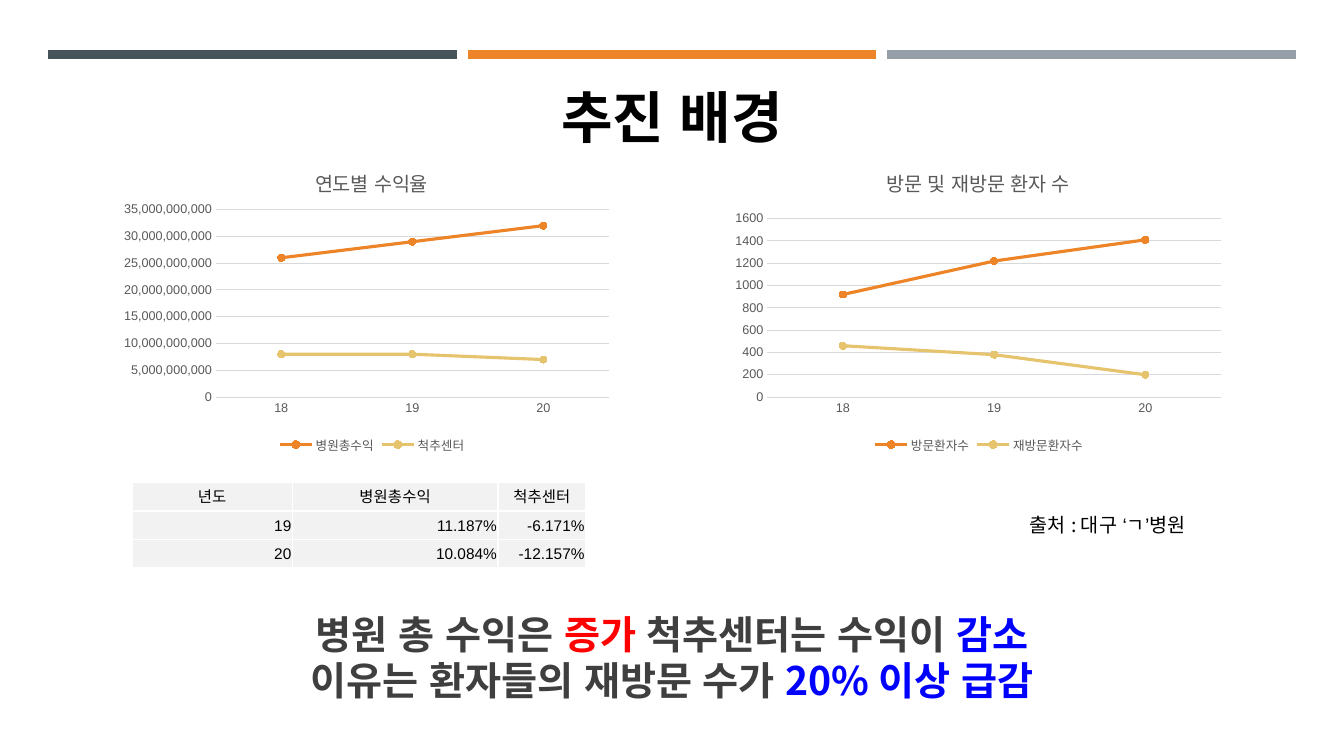
import pptx
import pptx.chart.data
import pptx.dml.color
import pptx.enum.chart
import pptx.enum.shapes
import pptx.enum.text
import pptx.oxml
import pptx.oxml.ns
import pptx.util
from dataclasses import dataclass
from lxml import etree

Inches = pptx.util.Inches
Pt = pptx.util.Pt
qn = pptx.oxml.ns.qn
ALIGN = pptx.enum.text.PP_ALIGN
ANCHOR = pptx.enum.text.MSO_ANCHOR


@dataclass(frozen=True)
class Theme:
    latin: str = "Arial"
    korean: str = "Noto Sans CJK KR"
    black: str = "000000"
    white: str = "FFFFFF"
    slate: str = "465359"
    orange: str = "ED8428"
    grey: str = "969FA7"
    gold: str = "E6C46D"
    body: str = "3F3F3F"
    rise: str = "FF0000"
    fall: str = "0000FF"
    label: str = "595959"
    grid: str = "D9D9D9"
    cell: str = "F2F2F2"
    heading: int = 40
    message: int = 28
    note: int = 14
    table: int = 11
    axis: int = 9


def rgb(value):
    return pptx.dml.color.RGBColor.from_string(value)


def set_layout(parent, index, **values):
    """Place a chart part by fractions of the chart; a width marks the inner plot."""
    for old in parent.findall(qn("c:layout")):
        parent.remove(old)
    layout = etree.Element(qn("c:layout"))
    manual = etree.SubElement(layout, qn("c:manualLayout"))
    settings = {"layoutTarget": "inner"} if "w" in values else {}
    settings.update(xMode="edge", yMode="edge", **values)
    for name, value in settings.items():
        etree.SubElement(manual, qn(f"c:{name}"), val=str(value))
    parent.insert(index, layout)


class SlideBuilder:
    def __init__(self, slide, theme):
        self.shapes = slide.shapes
        self.theme = theme

    def font(self, font, size, color, name=None, bold=False):
        font.size = Pt(size)
        font.name = name or self.theme.latin
        font.bold = bold
        font.color.rgb = rgb(color)

    def run(self, p, text, size, color, name=None, bold=False):
        """Add a run whose spaces and quotes among Hangul take the Latin font's widths."""
        r = p.add_run()
        r.text = text
        self.font(r.font, size, color, name, bold)
        latin = r.font._element.find(qn("a:latin"))
        latin.addnext(etree.Element(qn("a:ea"), typeface=self.theme.latin))

    def bar(self, x, color):
        line = self.shapes.add_connector(
            pptx.enum.shapes.MSO_CONNECTOR.STRAIGHT,
            Inches(x), Inches(0.54), Inches(x + 4.05), Inches(0.54))
        line.line.color.rgb = rgb(color)
        line.line.width = Pt(6.5)
        etree.SubElement(line._element.spPr, qn("a:effectLst"))

    def text(self, box, lines, size, name=None, bold=False, align=ALIGN.CENTER,
             anchor=ANCHOR.TOP, inset=0.05, spacing=None):
        """Lines are lists of (text, colour) runs, joined by line breaks."""
        tf = self.shapes.add_textbox(*map(Inches, box)).text_frame
        tf.word_wrap = True
        tf.vertical_anchor = anchor
        tf.margin_left = tf.margin_right = Inches(0.1)
        tf.margin_top = tf.margin_bottom = Inches(inset)
        p = tf.paragraphs[0]
        p.alignment = align
        p.line_spacing = spacing
        for i, line in enumerate(lines):
            if i:
                p.add_line_break()
            for text, color in line:
                self.run(p, text, size, color, name, bold)

    def line_chart(self, x, title, title_x, series, top, step, number_format, plot):
        t = self.theme
        data = pptx.chart.data.CategoryChartData(number_format=number_format)
        data.categories = ["18", "19", "20"]
        for name, values in series.items():
            data.add_series(name, values)
        chart = self.shapes.add_chart(
            pptx.enum.chart.XL_CHART_TYPE.LINE_MARKERS,
            Inches(x), Inches(1.54), Inches(5), Inches(3), data).chart
        self.font(chart.font, t.axis, t.label)
        chart.plots[0].vary_by_categories = False

        chart.has_title = True
        self.run(chart.chart_title.text_frame.paragraphs[0], title, t.note, t.label)
        chart.chart_title.include_in_layout = False
        set_layout(chart.chart_title._element, 1, x=title_x, y=0.04)
        set_layout(chart._chartSpace.chart.plotArea, 0, **dict(zip("xywh", plot)))

        chart.has_legend = True
        chart.legend.position = pptx.enum.chart.XL_LEGEND_POSITION.BOTTOM
        chart.legend.include_in_layout = False
        self.font(chart.legend.font, t.axis, t.label)

        for axis in (chart.category_axis, chart.value_axis):
            axis.major_tick_mark = pptx.enum.chart.XL_TICK_MARK.NONE
            axis.minor_tick_mark = pptx.enum.chart.XL_TICK_MARK.NONE
            self.font(axis.tick_labels.font, t.axis, t.label)
        value_axis = chart.value_axis
        value_axis.minimum_scale, value_axis.maximum_scale = 0, top
        value_axis.major_unit = step
        value_axis.tick_labels.number_format = number_format
        value_axis.tick_labels.number_format_is_linked = False
        value_axis.format.line.fill.background()
        for line in (chart.category_axis.format.line,
                     value_axis.major_gridlines.format.line):
            line.color.rgb = rgb(t.grid)
            line.width = Pt(0.75)

        for s, color in zip(chart.plots[0].series, (t.orange, t.gold)):
            s.smooth = False
            s.format.line.color.rgb = rgb(color)
            s.format.line.width = Pt(2.25)
            s.marker.style = pptx.enum.chart.XL_MARKER_STYLE.CIRCLE
            s.marker.size = 5
            s.marker.format.fill.solid()
            s.marker.format.fill.fore_color.rgb = rgb(color)
            s.marker.format.line.color.rgb = rgb(color)

    def borders(self, cell):
        tcPr = cell._tc.get_or_add_tcPr()
        for side in "LRTB":
            line = etree.SubElement(tcPr, qn(f"a:ln{side}"), w=str(Pt(1)))
            fill = etree.SubElement(line, qn("a:solidFill"))
            etree.SubElement(fill, qn("a:srgbClr"), val=self.theme.white)

    def table(self, x, y, widths, row_height, rows):
        t = self.theme
        table = self.shapes.add_table(
            len(rows), len(widths), Inches(x), Inches(y),
            Inches(sum(widths)), Inches(row_height * len(rows))).table
        for column, width in zip(table.columns, widths):
            column.width = Inches(width)
        for i, row in enumerate(rows):
            for j, text in enumerate(row):
                cell = table.cell(i, j)
                cell.margin_left = cell.margin_right = cell.margin_top = Inches(0.01)
                cell.margin_bottom = 0
                cell.vertical_anchor = ANCHOR.MIDDLE
                self.borders(cell)
                cell.fill.solid()
                cell.fill.fore_color.rgb = rgb(t.cell)
                p = cell.text_frame.paragraphs[0]
                p.alignment = ALIGN.RIGHT if i else ALIGN.CENTER
                self.run(p, text, t.table, t.black)


def main():
    prs = pptx.Presentation()
    prs.slide_width, prs.slide_height = Inches(13.33), Inches(7.5)
    t = Theme()
    s = SlideBuilder(prs.slides.add_slide(prs.slide_layouts[6]), t)

    for i, color in enumerate((t.slate, t.orange, t.grey)):
        s.bar(0.48 + 4.16 * i, color)

    s.text((1.41, 5.51, 10.51, 1.53), [
        [("병원 총 수익은 ", t.body), ("증가", t.rise),
         (" 척추센터는 수익이 ", t.body), ("감소", t.fall)],
        [("이유는 환자들의 재방문 수가 ", t.body), ("20% 이상 급감", t.fall)],
    ], t.message, t.korean, bold=True, anchor=ANCHOR.BOTTOM, spacing=0.97)

    billion = 10 ** 9
    s.line_chart(1.19, "연도별 수익율", 0.38, {
        "병원총수익": (26 * billion, 29 * billion, 32 * billion),
        "척추센터": (8 * billion, 8 * billion, 7 * billion),
    }, 35 * billion, 5 * billion, "#,##0", (0.19, 0.18, 0.78, 0.62))
    s.line_chart(7.21, "방문 및 재방문 환자 수", 0.31, {
        "방문환자수": (920, 1220, 1410),
        "재방문환자수": (460, 380, 200),
    }, 1600, 200, "General", (0.08, 0.21, 0.9, 0.59))

    s.table(1.31, 4.79, (1.59, 2.04, 0.87), 0.28, [
        ("년도", "병원총수익", "척추센터"),
        ("19", "11.187%", "-6.171%"),
        ("20", "10.084%", "-12.157%"),
    ])
    s.text((10.11, 4.99, 2.25, 0.44), [[("출처 : 대구 ‘ㄱ’병원", t.black)]],
           t.note, t.korean, align=ALIGN.LEFT, inset=0.1)
    s.text((5.21, 0.77, 2.91, 0.77), [[("추진 배경", t.black)]], t.heading, bold=True)

    prs.save("out.pptx")


if __name__ == "__main__":
    main()
